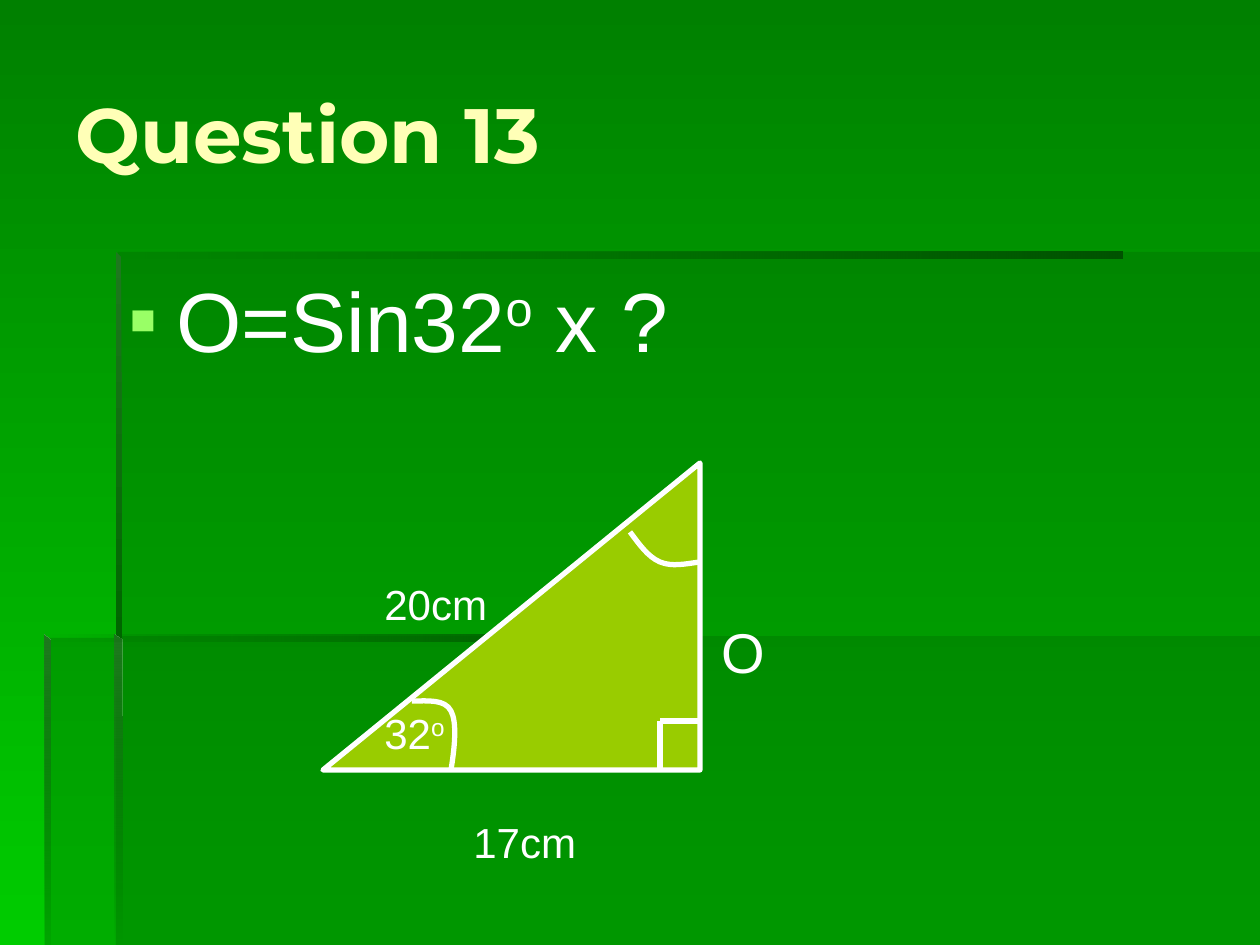
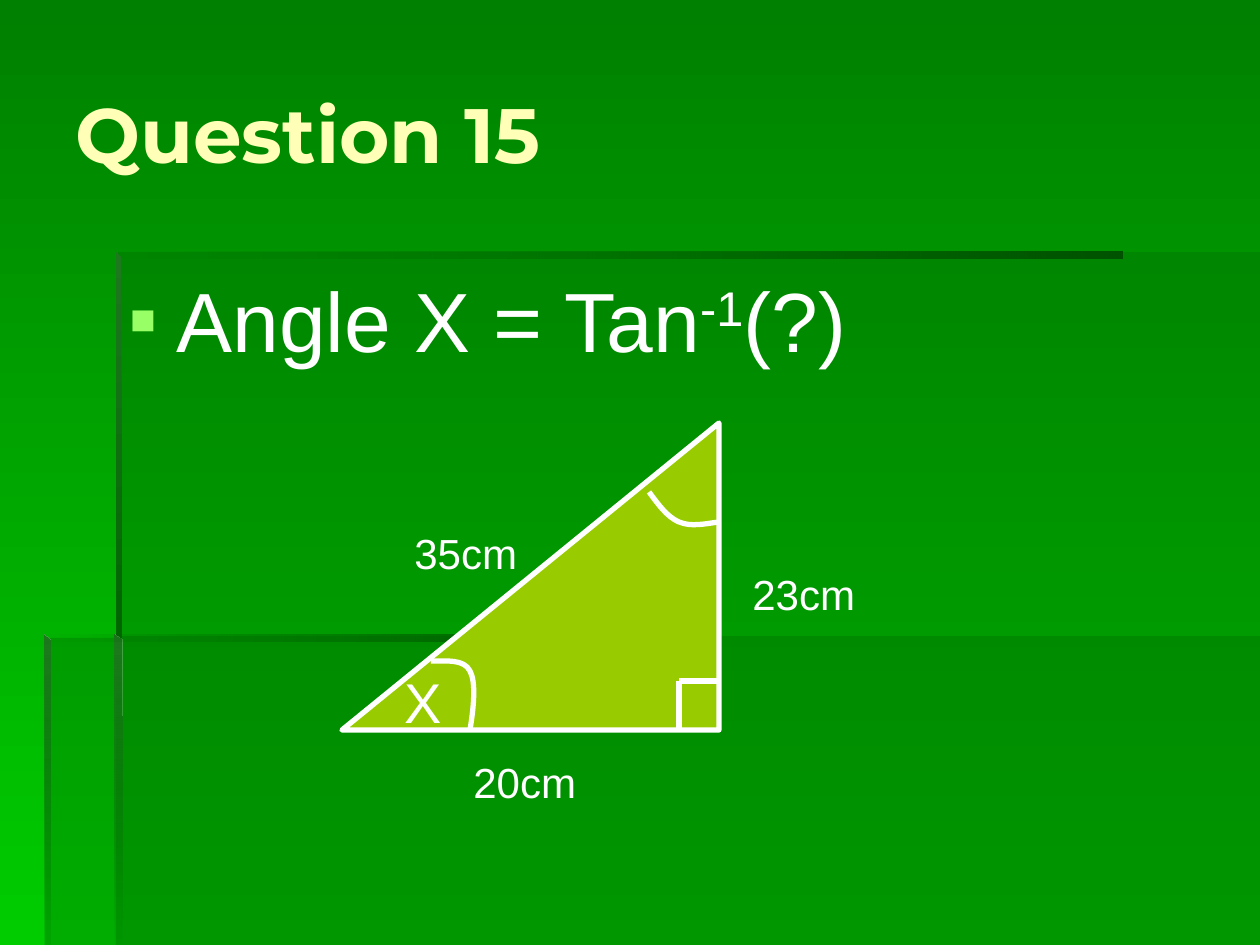
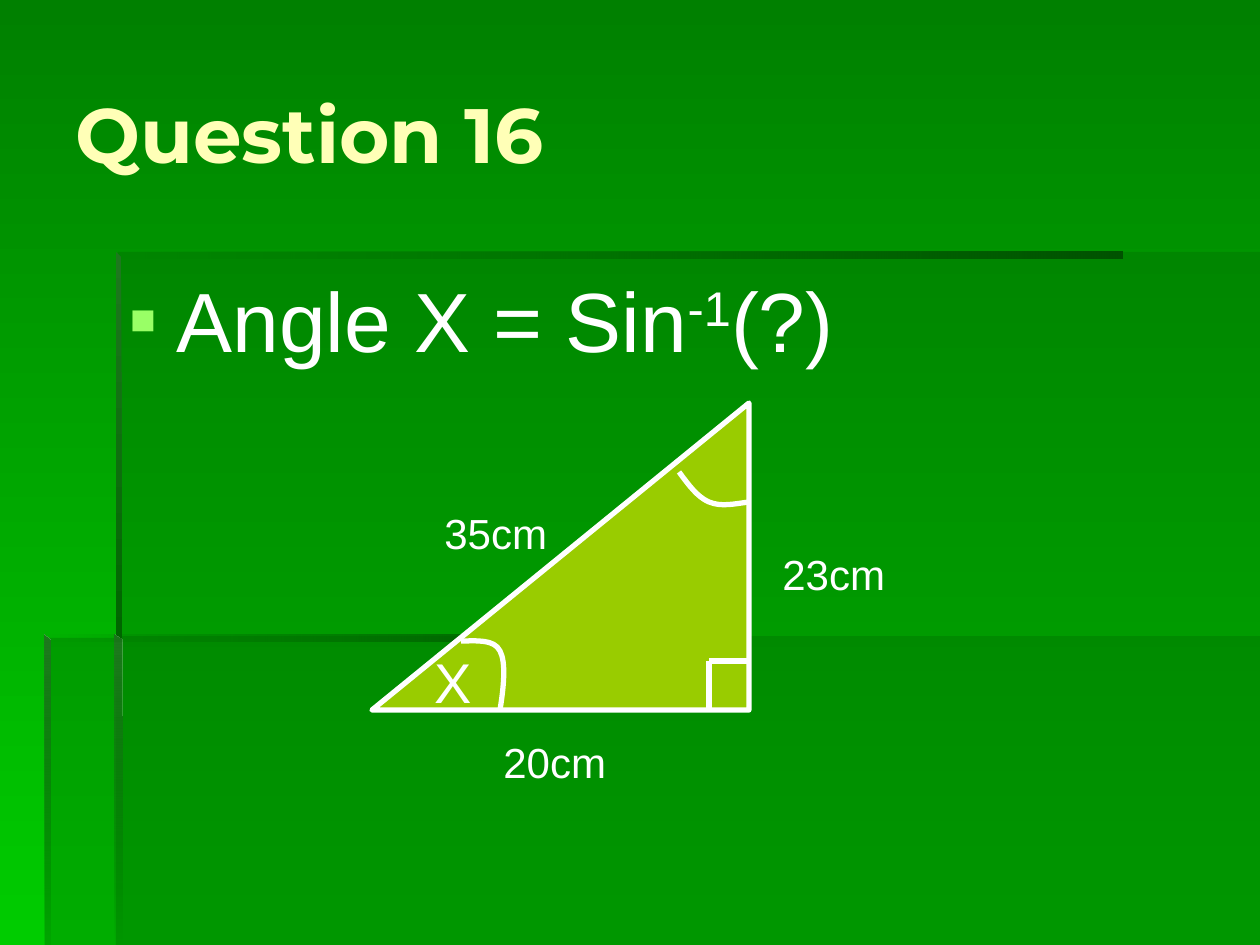
from lxml.etree import SubElement
from pptx import Presentation
from pptx.dml.color import RGBColor
from pptx.enum.shapes import MSO_CONNECTOR, MSO_SHAPE
from pptx.enum.text import MSO_ANCHOR, MSO_AUTO_SIZE
from pptx.oxml.ns import qn
from pptx.util import Emu, Pt

EMU_PER_PX = 914400 / 126
WIDTH, HEIGHT = 1260, 945
WHITE, CREAM, LIME, OLIVE = "FFFFFF", "FFFFB7", "99FF66", "99CC00"
GREEN, BRIGHT, PANEL, SHADE, EDGE = "008000", "00CC00", "006600", "005300", "1E781E"
HEADING_FONT, BODY_FONT = "Montserrat", "Arial"
TITLE_BOX = (63, 34, 1155, 198)
FORMULA_BOX = (116, 262, 1104, 577)
BULLET_INDENT = 48
LABEL_HEIGHTS = {24: 63, 32: 81}

PANELS = [
    [(116, 636), (116, 945), (1260, 945), (1260, 636)],
    [(118, 638), (45, 638), (45, 945), (1260, 945), (1260, 252), (118, 252)],
]
BEVELS = [
    ([(116, 252), (116, 258), (1123, 258), (1123, 252)], SHADE, 0, 180),
    ([(116, 252), (116, 643), (122, 643), (121, 257)], EDGE, 100, 90),
    ([(115, 945), (122, 945), (121, 640), (115, 635)], EDGE, 0, 90),
    ([(44, 635), (44, 641), (674, 641), (674, 635)], SHADE, 0, 180),
    ([(44, 635), (44, 945), (50, 945), (50, 641)], EDGE, 10, 90),
]

TRIANGLE_BASE, TRIANGLE_RISE = 377, 307
ANGLE_ARCS = [
    [(-249, 0), (-245, -24), (-243, -48), (-249, -59), (-255, -71), (-272, -69), (-288, -69)],
    [(-70, -238), (-61, -226), (-52, -213), (-40, -208), (-28, -203), (-15, -206), (0, -208)],
]
SQUARE_MARK = [(-40, 0), (-40, -49), (0, -49)]

ANGLE_LABELS = [
    (["20cm"], 24, -258, 20, 159),
    (["23cm"], 24, 21, -168, 149),
    (["X"], 32, -327, -69, 79),
    (["35cm"], 24, -317, -209, 129),
]
QUESTIONS = [
    {
        "title": "Question 13",
        "formula": ["O=Sin32", "o", " x ?"],
        "corner": (700, 770),
        "labels": [
            (["20cm"], 24, -328, -198, 159),
            (["32", "o"], 24, -328, -69, 110),
            (["O"], 32, 9, -159, 79),
            (["17cm"], 24, -239, 40, 159),
        ],
    },
    {
        "title": "Question 15",
        "formula": ["Angle X = Tan", "-1", "(?)"],
        "corner": (719, 730),
        "labels": ANGLE_LABELS,
    },
    {
        "title": "Question 16",
        "formula": ["Angle X = Sin", "-1", "(?)"],
        "corner": (749, 710),
        "labels": ANGLE_LABELS,
    },
]


def px(*lengths):
    return [Emu(round(length * EMU_PER_PX)) for length in lengths]


def color(code):
    return RGBColor.from_string(code)


def set_gradient(fill, start, end, angle):
    fill.gradient()
    fill.gradient_angle = 360 - angle
    for stop, code in zip(fill.gradient_stops, (start, end)):
        stop.color.rgb = color(code)


def set_last_opacity(shape, percent):
    last_color = shape._element.spPr.findall(".//" + qn("a:srgbClr"))[-1]
    SubElement(last_color, qn("a:alpha"), val=str(percent * 1000))


def set_outline(shape):
    shape.line.color.rgb = color(WHITE)
    shape.line.width = Pt(3)


def add_outline(shapes, points, close):
    builder = shapes.build_freeform(*points[0], scale=EMU_PER_PX)
    builder.add_line_segments(points[1:], close=close)
    shape = builder.convert_to_shape()
    shape.shadow.inherit = False
    return shape


def add_backdrop(page):
    set_gradient(page.background.fill, GREEN, BRIGHT, 90)
    for points in PANELS:
        panel = add_outline(page.shapes, points, True)
        panel.fill.solid()
        panel.fill.fore_color.rgb = color(PANEL)
        panel.line.fill.background()
        set_last_opacity(panel, 30)
    for points, start, opacity, angle in BEVELS:
        bevel = add_outline(page.shapes, points, True)
        set_gradient(bevel.fill, start, PANEL, angle)
        bevel.line.fill.background()
        set_last_opacity(bevel, opacity)


def add_text(page, bounds, spans, size, font=BODY_FONT, code=WHITE, bold=False):
    box = page.shapes.add_textbox(*px(*bounds))
    box.text_frame.word_wrap = True
    para = box.text_frame.paragraphs[0]
    for index, text in enumerate(spans):
        span = para.add_run()
        span.text = text
        span.font.name = font
        span.font.size = Pt(size)
        span.font.bold = bold
        span.font.color.rgb = color(code)
        if index % 2:
            span._r.get_or_add_rPr().set("baseline", "30000")
    return box


def add_bullet(para):
    indent = px(BULLET_INDENT)[0]
    properties = para._p.get_or_add_pPr()
    properties.set("marL", str(indent))
    properties.set("indent", str(-indent))
    bullet_color = SubElement(properties, qn("a:buClr"))
    SubElement(bullet_color, qn("a:srgbClr"), val=LIME)
    SubElement(properties, qn("a:buFont"), typeface=BODY_FONT)
    SubElement(properties, qn("a:buChar"), char="▪")


def add_arc(shapes, points):
    arc = add_outline(shapes, points, False)
    arc.fill.background()
    set_outline(arc)
    outline = arc._element.find(".//" + qn("a:path"))
    segments = outline.findall(qn("a:lnTo"))
    for first in range(0, len(segments), 3):
        curve = SubElement(outline, qn("a:cubicBezTo"))
        for segment in segments[first:first + 3]:
            curve.append(segment[0])
            outline.remove(segment)


def add_line(shapes, start, end):
    line = shapes.add_connector(MSO_CONNECTOR.STRAIGHT, *px(*start, *end))
    set_outline(line)
    SubElement(line._element.spPr, qn("a:effectLst"))


def add_triangle(page, corner):
    corner_x, corner_y = corner

    def place(points):
        return [(corner_x + x, corner_y + y) for x, y in points]

    shapes = page.shapes.add_group_shape().shapes
    left = corner_x - (TRIANGLE_BASE + TRIANGLE_RISE) / 2
    top = corner_y - (TRIANGLE_RISE + TRIANGLE_BASE) / 2
    triangle = shapes.add_shape(
        MSO_SHAPE.RIGHT_TRIANGLE, *px(left, top, TRIANGLE_RISE, TRIANGLE_BASE))
    triangle.rotation = 270
    triangle.shadow.inherit = False
    triangle.fill.solid()
    triangle.fill.fore_color.rgb = color(OLIVE)
    set_outline(triangle)
    for points in ANGLE_ARCS:
        add_arc(shapes, place(points))
    mark = place(SQUARE_MARK)
    for start, end in zip(mark, mark[1:]):
        add_line(shapes, start, end)


def add_question(deck, question):
    page = deck.slides.add_slide(deck.slide_layouts[6])
    add_backdrop(page)
    title = add_text(page, TITLE_BOX, [question["title"]], 44, HEADING_FONT, CREAM, True)
    title.text_frame.vertical_anchor = MSO_ANCHOR.MIDDLE
    formula = add_text(page, FORMULA_BOX, question["formula"], 48)
    add_bullet(formula.text_frame.paragraphs[0])
    add_triangle(page, question["corner"])
    corner_x, corner_y = question["corner"]
    for spans, size, x, y, width in question["labels"]:
        bounds = (corner_x + x, corner_y + y, width, LABEL_HEIGHTS[size])
        label = add_text(page, bounds, spans, size)
        label.text_frame.auto_size = MSO_AUTO_SIZE.SHAPE_TO_FIT_TEXT


def main():
    deck = Presentation()
    deck.slide_width, deck.slide_height = px(WIDTH, HEIGHT)
    for question in QUESTIONS:
        add_question(deck, question)
    deck.save("out.pptx")


if __name__ == "__main__":
    main()
